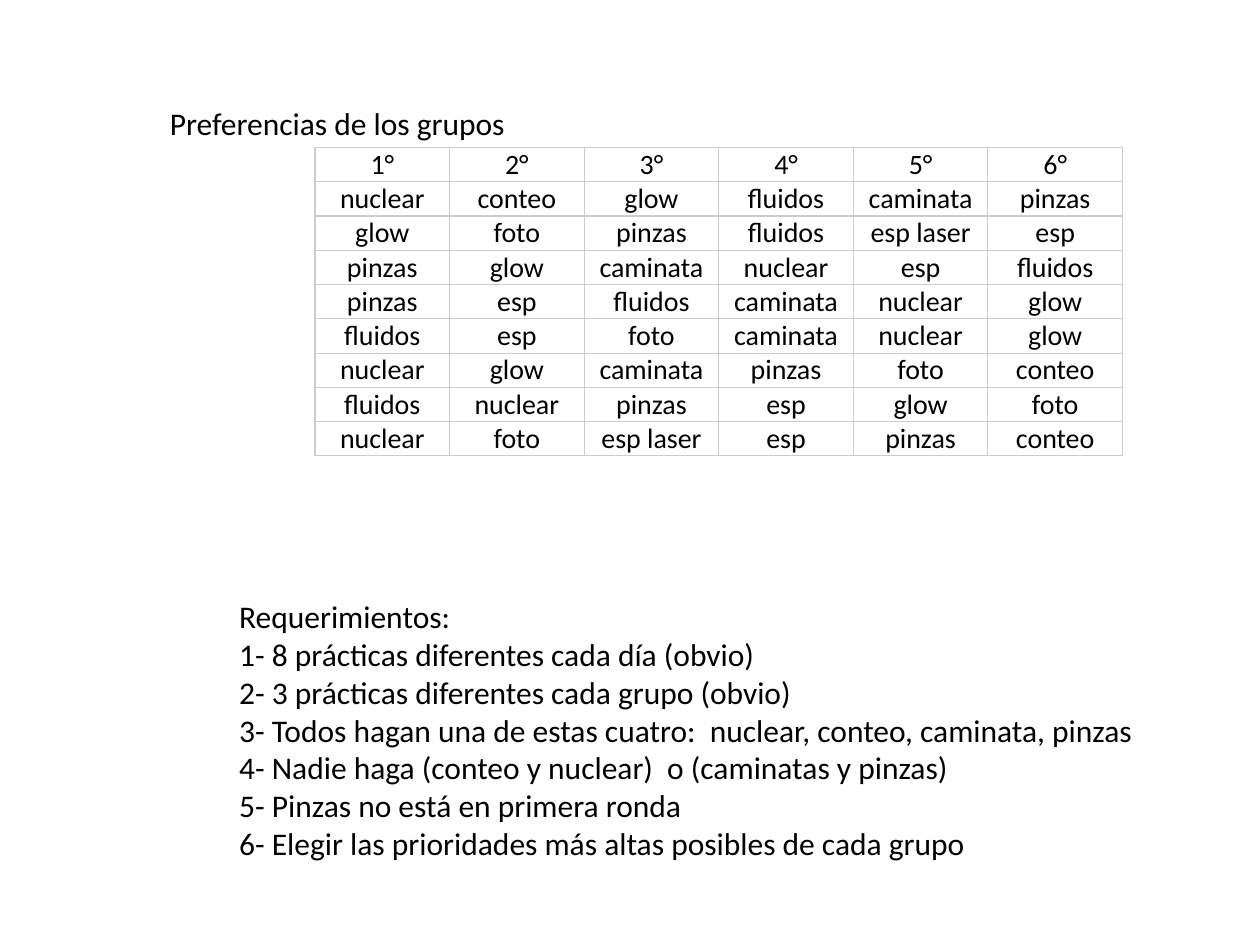
"""Build a slide with the groups' ranked preferences and the requirements."""
import lxml.etree
import pptx
import pptx.dml.color
import pptx.enum.text
import pptx.oxml.ns
import pptx.util

Inches = pptx.util.Inches
Pt = pptx.util.Pt

FONT = "Calibri"
INK = "000000"
GRID = "CCCCCC"

HEADING = ["Preferencias de los grupos"]
PREFERENCES = [
    ("1°", "2°", "3°", "4°", "5°", "6°"),
    ("nuclear", "conteo", "glow", "fluidos", "caminata", "pinzas"),
    ("glow", "foto", "pinzas", "fluidos", "esp laser", "esp"),
    ("pinzas", "glow", "caminata", "nuclear", "esp", "fluidos"),
    ("pinzas", "esp", "fluidos", "caminata", "nuclear", "glow"),
    ("fluidos", "esp", "foto", "caminata", "nuclear", "glow"),
    ("nuclear", "glow", "caminata", "pinzas", "foto", "conteo"),
    ("fluidos", "nuclear", "pinzas", "esp", "glow", "foto"),
    ("nuclear", "foto", "esp laser", "esp", "pinzas", "conteo"),
]
REQUIREMENTS = [
    "Requerimientos:",
    "1- 8 prácticas diferentes cada día (obvio)",
    "2- 3 prácticas diferentes cada grupo (obvio)",
    "3- Todos hagan una de estas cuatro:  nuclear, conteo, caminata, pinzas",
    "4- Nadie haga (conteo y nuclear)  o (caminatas y pinzas)",
    "5- Pinzas no está en primera ronda",
    "6- Elegir las prioridades más altas posibles de cada grupo",
]


def color(hex_string):
    return pptx.dml.color.RGBColor.from_string(hex_string)


def style(paragraph, size):
    paragraph.font.name = FONT
    paragraph.font.size = Pt(size)
    paragraph.font.color.rgb = color(INK)


def add_lines(slide, lines, left, top, width, height):
    frame = slide.shapes.add_textbox(
        Inches(left), Inches(top), Inches(width), Inches(height)
    ).text_frame
    frame.word_wrap = False
    frame.auto_size = pptx.enum.text.MSO_AUTO_SIZE.SHAPE_TO_FIT_TEXT
    frame.text = "\n".join(lines)
    for paragraph in frame.paragraphs:
        style(paragraph, 18)


def add_borders(cell):
    properties = cell._tc.get_or_add_tcPr()
    qn = pptx.oxml.ns.qn
    for position, side in enumerate(("lnL", "lnR", "lnT", "lnB")):
        border = lxml.etree.Element(qn(f"a:{side}"), w=str(Pt(0.75)))
        fill = lxml.etree.SubElement(border, qn("a:solidFill"))
        lxml.etree.SubElement(fill, qn("a:srgbClr"), val=GRID)
        properties.insert(position, border)


def add_preferences(slide, left, top, width, height):
    table = slide.shapes.add_table(
        len(PREFERENCES), len(PREFERENCES[0]),
        Inches(left), Inches(top), Inches(width), Inches(height),
    ).table
    table.first_row = False
    table.horz_banding = False
    for row, choices in enumerate(PREFERENCES):
        for column, choice in enumerate(choices):
            cell = table.cell(row, column)
            cell.text = choice
            cell.fill.background()
            cell.vertical_anchor = pptx.enum.text.MSO_ANCHOR.BOTTOM
            cell.margin_left = cell.margin_right = Inches(0.03)
            cell.margin_top = cell.margin_bottom = 0
            paragraph = cell.text_frame.paragraphs[0]
            paragraph.alignment = pptx.enum.text.PP_ALIGN.CENTER
            style(paragraph, 16)
            add_borders(cell)


def main():
    deck = pptx.Presentation()
    deck.slide_width = Inches(10)
    deck.slide_height = Inches(7.5)
    slide = deck.slides.add_slide(deck.slide_layouts[6])
    add_preferences(slide, 2.5, 1.17, 6.41, 2.4)
    add_lines(slide, REQUIREMENTS, 1.8, 4.69, 7.38, 2.22)
    add_lines(slide, HEADING, 1.25, 0.78, 2.89, 0.4)
    deck.save("out.pptx")


if __name__ == "__main__":
    main()
